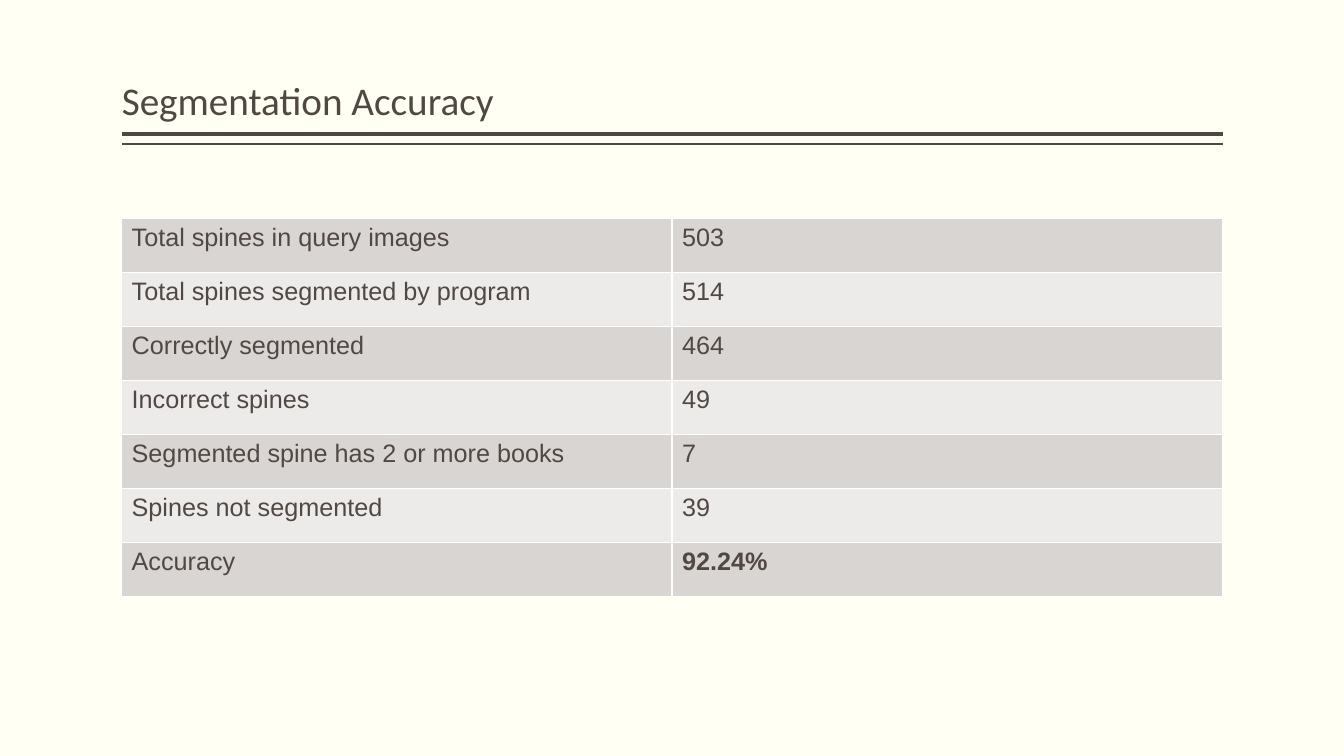
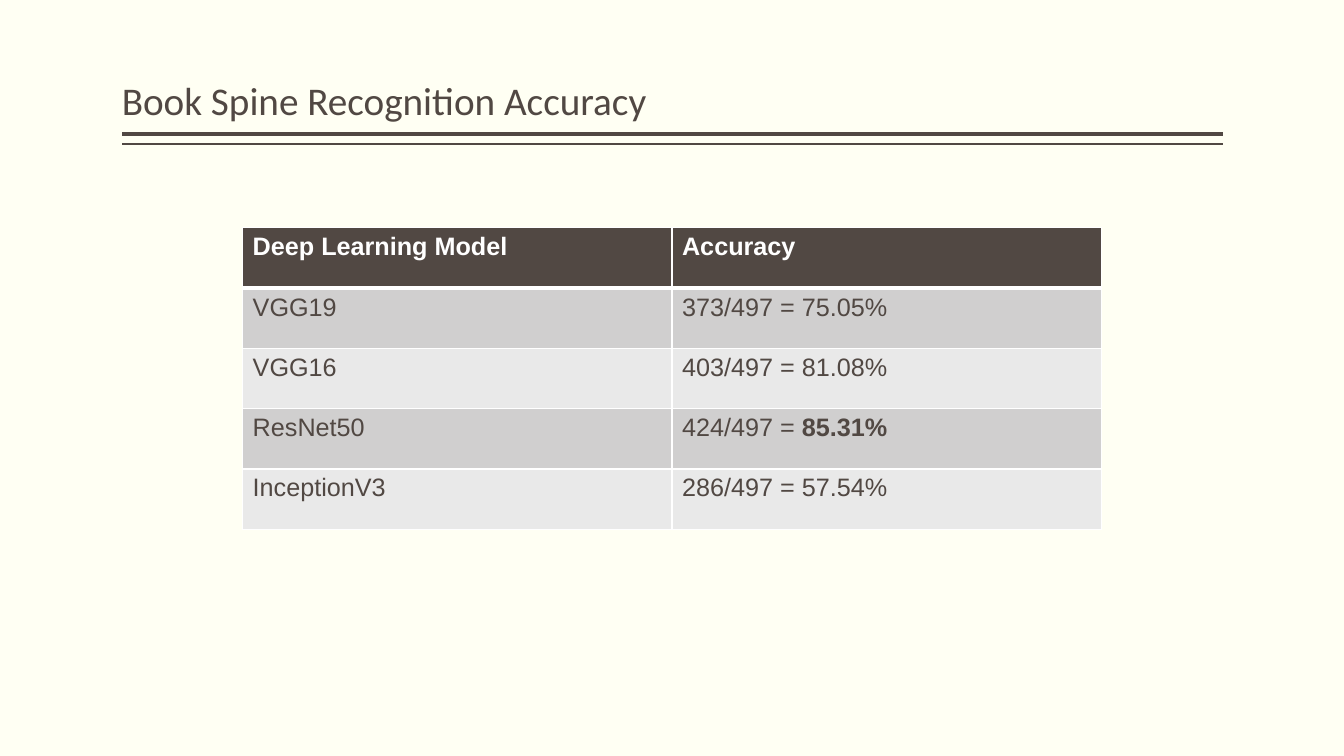
from lxml.etree import SubElement
from pptx import Presentation
from pptx.dml.color import RGBColor
from pptx.enum.shapes import MSO_CONNECTOR
from pptx.enum.text import MSO_ANCHOR
from pptx.oxml.ns import qn
from pptx.util import Cm, Pt

COLORS = {
    "paper": "FFFFF3",
    "ink": "514843",
    "white": "FFFFFF",
    "warm_dark": "D8D5D3",
    "warm_light": "EDEBEA",
    "gray_dark": "D0CFCF",
    "gray_light": "E9E9E9",
}
TITLE_FONT, TABLE_FONT = "Calibri", "Arial"
SLIDE_WIDTH, SLIDE_HEIGHT = 33.87, 19.05
CONTENT_LEFT, CONTENT_WIDTH = 3.07, 27.74
TITLE_RULES = [(3.38, 3), (3.63, 1)]  # top in cm, weight in points


def color(name):
    return RGBColor.from_string(COLORS[name])


def add_span(para, text, font, size, ink, bold=False):
    span = para.add_run()
    span.text = text
    span.font.name = font
    span.font.size = Pt(size)
    span.font.bold = bold
    span.font.color.rgb = color(ink)


def add_rule(page, top, weight):
    rule = page.shapes.add_connector(
        MSO_CONNECTOR.STRAIGHT, Cm(CONTENT_LEFT + CONTENT_WIDTH), Cm(top),
        Cm(CONTENT_LEFT), Cm(top))
    rule.line.color.rgb = color("ink")
    rule.line.width = Pt(weight)
    SubElement(rule._element.spPr, qn("a:effectLst"))


def add_title(page, text):
    box = page.shapes.add_textbox(
        Cm(CONTENT_LEFT), Cm(0.2), Cm(CONTENT_WIDTH), Cm(3.05))
    frame = box.text_frame
    frame.word_wrap = True
    frame.vertical_anchor = MSO_ANCHOR.BOTTOM
    frame.margin_left = frame.margin_right = 0
    para = frame.paragraphs[0]
    para.line_spacing = 0.9
    add_span(para, text, TITLE_FONT, 28, "ink")


def add_page(deck, title):
    page = deck.slides.add_slide(deck.slide_layouts[6])
    for top, weight in TITLE_RULES:
        add_rule(page, top, weight)
    add_title(page, title)
    return page


def set_borders(cell, top=1, bottom=1):
    properties = cell._tc.get_or_add_tcPr()
    for side, weight in (("L", 1), ("R", 1), ("T", top), ("B", bottom)):
        line = SubElement(properties, qn(f"a:ln{side}"), w=str(Pt(weight)))
        fill = SubElement(line, qn("a:solidFill"))
        SubElement(fill, qn("a:srgbClr"), val=COLORS["white"])


def fill_cell(cell, content, fill, ink, bold):
    """Content is a string, or a list of (text, bold) spans."""
    cell.fill.solid()
    cell.fill.fore_color.rgb = color(fill)
    spans = [(content, bold)] if isinstance(content, str) else content
    for text, is_bold in spans:
        add_span(cell.text_frame.paragraphs[0], text, TABLE_FONT, 18, ink, is_bold)


def add_centered_table(page, rows, top, width, row_height, bands, header=False):
    column_count = len(rows[0])
    table = page.shapes.add_table(
        len(rows), column_count, Cm((SLIDE_WIDTH - width) / 2), Cm(top),
        Cm(width), Cm(row_height * len(rows))).table
    table.first_row = header
    for column in table.columns:
        column.width = Cm(width / column_count)
    for row_index, contents in enumerate(rows):
        table.rows[row_index].height = Cm(row_height)
        is_header = header and row_index == 0
        below_header = header and row_index == 1
        fill = "ink" if is_header else bands[(row_index - header) % 2]
        for column_index, content in enumerate(contents):
            cell = table.cell(row_index, column_index)
            set_borders(cell, top=3 if below_header else 1,
                        bottom=3 if is_header else 1)
            fill_cell(cell, content, fill,
                      "white" if is_header else "ink", is_header)


def main():
    deck = Presentation()
    deck.slide_width, deck.slide_height = Cm(SLIDE_WIDTH), Cm(SLIDE_HEIGHT)
    background = deck.slide_master.background.fill
    background.solid()
    background.fore_color.rgb = color("paper")

    # Segmentation results
    page = add_page(deck, "Segmentation Accuracy")
    add_centered_table(page, [
        ("Total spines in query images", "503"),
        ("Total spines segmented by program", "514"),
        ("Correctly segmented", "464"),
        ("Incorrect spines", "49"),
        ("Segmented spine has 2 or more books", "7"),
        ("Spines not segmented", "39"),
        ("Accuracy", [("92.24%", True)]),
    ], top=5.51, width=CONTENT_WIDTH, row_height=1.36,
        bands=("warm_dark", "warm_light"))

    # Recognition results by model
    page = add_page(deck, "Book Spine Recognition Accuracy")
    add_centered_table(page, [
        ("Deep Learning Model", "Accuracy"),
        ("VGG19", "373/497 = 75.05%"),
        ("VGG16", "403/497 = 81.08%"),
        ("ResNet50", [("424/497 = ", False), ("85.31%", True)]),
        ("InceptionV3", "286/497 = 57.54%"),
    ], top=5.74, width=21.64, row_height=1.52,
        bands=("gray_dark", "gray_light"), header=True)

    deck.save("out.pptx")


if __name__ == "__main__":
    main()
